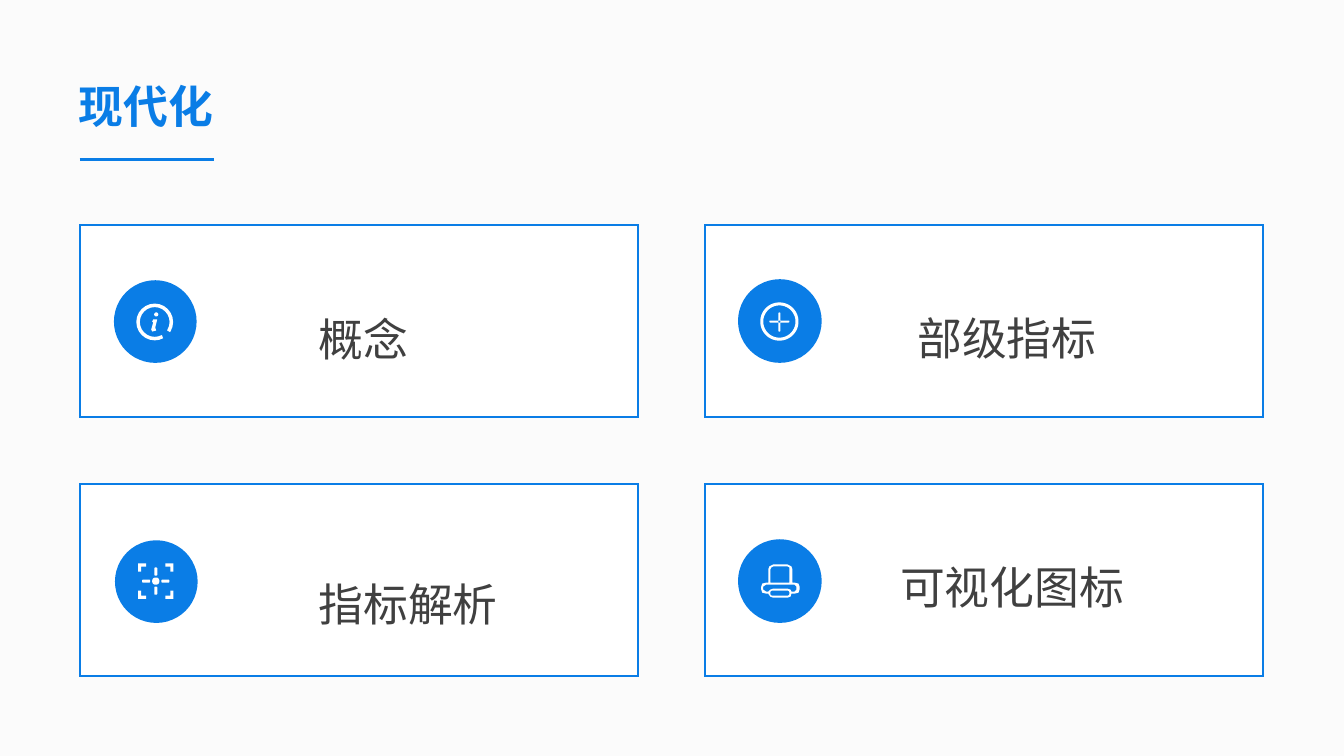
from math import cos, pi, sin

from lxml.etree import SubElement
from pptx import Presentation
from pptx.dml.color import RGBColor
from pptx.enum.shapes import MSO_CONNECTOR, MSO_SHAPE
from pptx.enum.text import MSO_AUTO_SIZE, PP_ALIGN
from pptx.oxml.ns import qn
from pptx.util import Inches, Pt

BLUE = RGBColor(0x0A, 0x7D, 0xE6)
WHITE = RGBColor(0xFF, 0xFF, 0xFF)
DARK = RGBColor(0x40, 0x40, 0x40)
PAPER = RGBColor(0xFB, 0xFB, 0xFB)
FONT = "Noto Sans CJK SC"

prs = Presentation()
prs.slide_width, prs.slide_height = Inches(13.33), Inches(7.5)
slide = prs.slides.add_slide(prs.slide_layouts[6])
slide.background.fill.solid()
slide.background.fill.fore_color.rgb = PAPER


def add_text(text, left, top, width, height, color=DARK, bold=False, spacing=1.2, align=None):
    box = slide.shapes.add_textbox(Inches(left), Inches(top), Inches(width), Inches(height))
    frame = box.text_frame
    frame.word_wrap = True
    frame.auto_size = MSO_AUTO_SIZE.SHAPE_TO_FIT_TEXT
    paragraph = frame.paragraphs[0]
    paragraph.line_spacing = spacing
    paragraph.alignment = align
    run = paragraph.add_run()
    run.text = text
    run.font.name, run.font.size, run.font.bold = FONT, Pt(32), bold
    run.font.color.rgb = color
    SubElement(run.font._element, qn("a:ea"), typeface=FONT)


def style(shape, fill=None, line=None, weight=1.5):
    shape.shadow.inherit = False
    if fill is None:
        shape.fill.background()
    else:
        shape.fill.solid()
        shape.fill.fore_color.rgb = fill
    if line is None:
        shape.line.fill.background()
    else:
        shape.line.color.rgb = line
        shape.line.width = Pt(weight)
        SubElement(shape._element.spPr.find(qn("a:ln")), qn("a:miter"), lim="800000")


for top in (2.23, 4.8):
    for left in (0.79, 6.99):
        card = slide.shapes.add_shape(
            MSO_SHAPE.RECTANGLE, Inches(left), Inches(top), Inches(5.54), Inches(1.91))
        style(card, WHITE, BLUE)

for label, left, top, width in [
    ("概念", 3.06, 2.94, 1.57),
    ("部级指标", 9, 2.93, 2.77),
    ("指标解析", 3.06, 5.57, 2.33),
    ("可视化图标", 8.83, 5.4, 3.13),
]:
    add_text(label, left, top, width, 0.69)

for left, top, size in [(1.13, 2.78, 0.82), (7.32, 2.77, 0.83), (1.14, 5.36, 0.82), (7.32, 5.35, 0.83)]:
    disc = slide.shapes.add_shape(
        MSO_SHAPE.OVAL, Inches(left), Inches(top), Inches(size), Inches(size))
    style(disc, BLUE)

info_ring = slide.shapes.add_shape(
    MSO_SHAPE.ARC, Inches(1.37), Inches(3.03), Inches(0.33), Inches(0.33))
info_ring.adjustments[0] = 62 * 0.6
info_ring.adjustments[1] = 34 * 0.6
style(info_ring, None, WHITE, 2.5)

info_letter = [
    (1.53, 3.1, 0.04, 0.04, 0.02),
    [(1.52, 3.17), (1.56, 3.17), (1.54, 3.25), (1.55, 3.28),
     (1.51, 3.29), (1.5, 3.27), (1.52, 3.2), (1.51, 3.19)],
]
plus = [
    (7.54, 3, 0.38, 0.38, 0.19),
    (7.57, 3.03, 0.32, 0.32, 0.16),
    (7.63, 3.18, 0.2, 0.02, 0.01),
    (7.72, 3.1, 0.02, 0.19, 0.01),
]
target = [
    (1.51, 5.73, 0.07, 0.07, 0.03),
    (1.53, 5.63, 0.03, 0.08, 0.01),
    (1.53, 5.82, 0.03, 0.08, 0.01),
    (1.41, 5.75, 0.08, 0.03, 0.01),
    (1.6, 5.75, 0.08, 0.03, 0.01),
]
for x, across in ((1.37, 1), (1.72, -1)):
    for y, down in ((5.59, 1), (5.94, -1)):
        target.append([
            (x + across * dx, y + down * dy)
            for dx, dy in [(0, 0), (0.08, 0), (0.08, 0.03), (0.03, 0.03), (0.03, 0.08), (0, 0.08)]])
seat = [
    [(7.62, 5.78), (7.62, 5.65), (7.63, 5.62), (7.67, 5.6), (7.81, 5.6), (7.85, 5.62),
     (7.86, 5.65), (7.86, 5.78), (7.88, 5.78), (7.92, 5.79), (7.93, 5.82), (7.93, 5.85),
     (7.92, 5.88), (7.88, 5.89), (7.85, 5.89), (7.84, 5.92), (7.81, 5.93), (7.67, 5.93),
     (7.64, 5.92), (7.62, 5.89), (7.6, 5.89), (7.56, 5.88), (7.55, 5.85), (7.55, 5.82),
     (7.56, 5.79), (7.6, 5.78)],
    [(7.64, 5.78), (7.64, 5.65), (7.65, 5.63), (7.67, 5.62), (7.81, 5.62),
     (7.83, 5.63), (7.83, 5.65), (7.83, 5.78)],
    [(7.6, 5.8), (7.88, 5.8), (7.9, 5.82), (7.9, 5.85), (7.88, 5.87), (7.85, 5.87),
     (7.84, 5.85), (7.81, 5.84), (7.67, 5.84), (7.64, 5.85), (7.62, 5.87), (7.6, 5.87),
     (7.57, 5.85), (7.57, 5.82)],
    (7.64, 5.86, 0.19, 0.05, 0.02),
]

for icon in (info_letter, plus, target, seat):
    builder = None
    for contour in icon:
        if isinstance(contour, tuple):
            left, top, width, height, radius = contour
            contour = []
            for step in range(48):
                angle = 2 * pi * (step + 0.5) / 48
                contour.append((
                    left + width / 2 + (width / 2 - radius) * (1 if cos(angle) > 0 else -1) + radius * cos(angle),
                    top + height / 2 + (height / 2 - radius) * (1 if sin(angle) > 0 else -1) + radius * sin(angle)))
        points = [(Inches(x), Inches(y)) for x, y in contour]
        if builder is None:
            builder = slide.shapes.build_freeform(*points[0])
        else:
            builder.move_to(*points[0])
        builder.add_line_segments(points[1:])
    style(builder.convert_to_shape(), WHITE)

add_text("现代化", 0.68, 0.73, 2.91, 0.64, color=BLUE, bold=True, spacing=1.0, align=PP_ALIGN.JUSTIFY)
underline = slide.shapes.add_connector(
    MSO_CONNECTOR.STRAIGHT, Inches(0.79), Inches(1.58), Inches(2.12), Inches(1.58))
underline.line.color.rgb = BLUE
underline.line.width = Pt(2)
SubElement(underline._element.spPr, qn("a:effectLst"))

prs.save("out.pptx")
